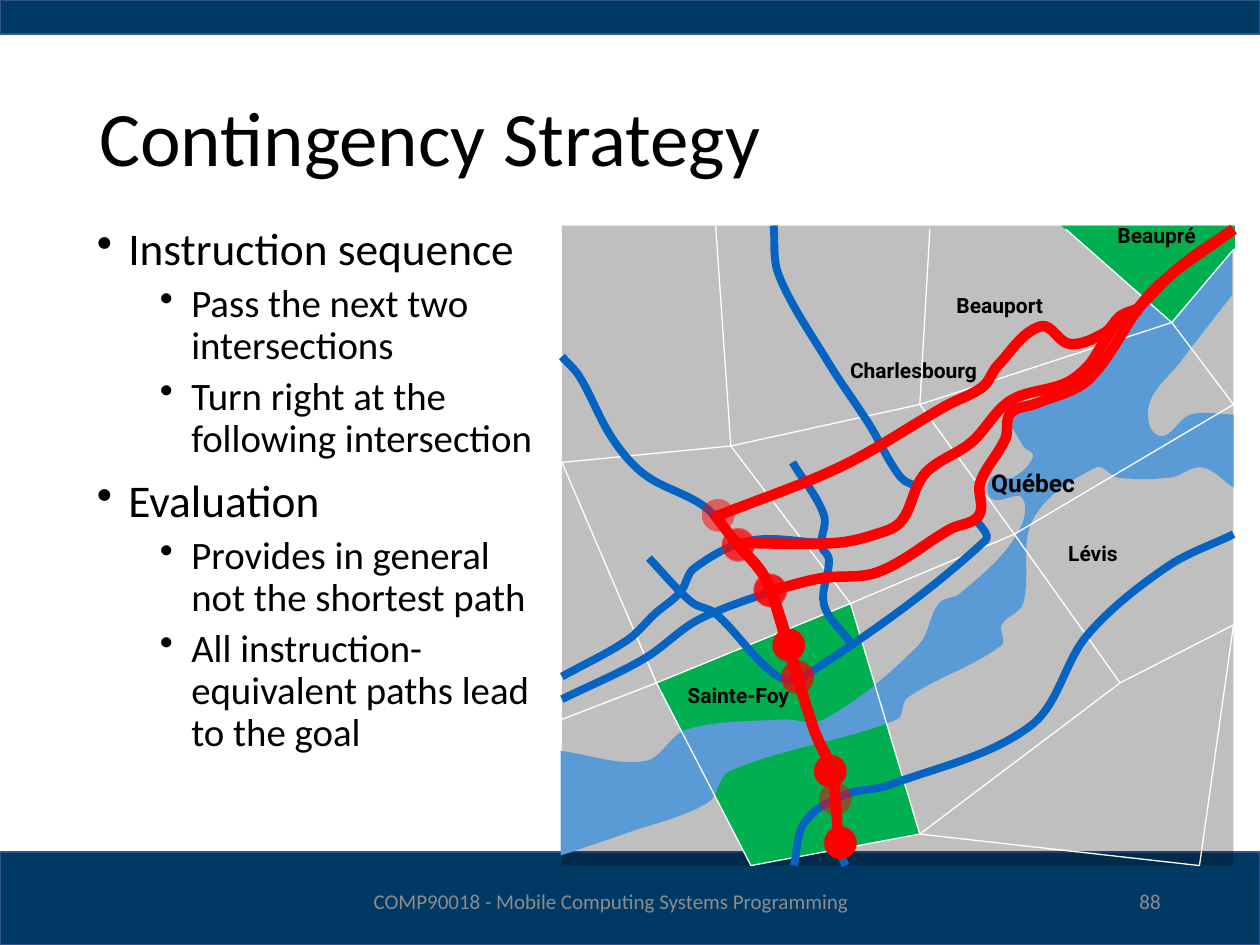
import math
from pptx import Presentation
from pptx import util as u
from pptx.dml.color import RGBColor
from pptx.enum import shapes, text
from pptx.oxml.ns import qn
from lxml import etree

NAVY, NAVY_EDGE = RGBColor(0x00, 0x3A, 0x64), RGBColor(0x32, 0x54, 0x91)
BLACK, WHITE = RGBColor(0, 0, 0), RGBColor(255, 255, 255)
PARK, WATER = RGBColor(0x00, 0xB0, 0x50), RGBColor(0x5B, 0x9B, 0xD5)
ROAD, ROUTE = RGBColor(0x05, 0x63, 0xC1), RGBColor(0xFF, 0, 0)
GREY = RGBColor(0x8C, 0x8C, 0x8C)

TITLE = "Contingency Strategy"
BULLETS = [
    (0, "Instruction sequence"),
    (1, "Pass the next two intersections"),
    (1, "Turn right at the\nfollowing intersection"),
    (0, "Evaluation"),
    (1, "Provides in general not the shortest path"),
    (1, "All instruction-equivalent paths lead to the goal"),
]
LEVELS = [  # text size, left margin, space before
    (25.9, 0.25, 10),
    (22.2, 0.75, 5),
]
BARS = [(0, 6.76, 10, 0.74), (0, 0, 10, 0.27)]
MAP = (4.46, 1.79, 5.33, 5.08)
LABELS = [  # name, left, top, width, height, size
    ("Charlesbourg", 6.69, 2.84, 1.12, 0.2, 12),
    ("Beauport", 7.55, 2.32, 0.77, 0.2, 12),
    ("Sainte-Foy", 5.41, 5.42, 0.9, 0.2, 12),
    ("Lévis", 8.46, 4.29, 0.43, 0.2, 12),
    ("Québec", 7.83, 3.71, 0.74, 0.24, 14),
    ("Beaupré", 8.83, 1.77, 0.7, 0.2, 12),
]

# District corners and the borders between them
CORNERS = {
    "a": (8.05, 4.24), "b": (7.3, 3.21), "c": (5.96, 6.87), "d": (5.21, 5.42),
    "e": (4.46, 5.71), "f": (4.46, 3.67), "g": (6.75, 4.79), "h": (7.3, 6.62),
    "i": (9.52, 6.87), "j": (9.79, 4.96), "k": (8.89, 5.42), "l": (9.79, 3.21),
    "m": (5.8, 3.54), "n": (5.68, 1.79), "o": (7.38, 1.82), "p": (9.3, 2.56),
    "q": (8.46, 1.82), "r": (9.79, 1.98),
}
BORDERS = "ab cd de fd dg gh hc hi ij ak hk kj ga al gm fm mn mb bo bp pq pl pr".split()
SAINTE_FOY = [CORNERS[name] for name in "dchg"]
BEAUPRE = [(9.3, 2.56), (9.8, 1.97), (9.8, 1.79), (8.42, 1.79), (8.52, 1.87)]

# Each shore is a smooth stretch; straight map edges join them
SHORES = [
    [(4.45, 6.79), (4.95, 6.62), (5.62, 6.37), (5.79, 6.12), (7.12, 5.71),
     (7.2, 5.54), (7.95, 5.12), (7.95, 4.96), (8.12, 4.79), (8.2, 4.12),
     (8.7, 3.71), (8.87, 3.79), (9.29, 3.79), (9.54, 3.71), (9.79, 3.87)],
    [(9.79, 3.29), (9.45, 3.29), (9.2, 3.46), (9.12, 3.21), (9.37, 2.87), (9.78, 2.34)],
    [(9.78, 1.89), (9.24, 2.27), (8.96, 2.62), (8.83, 2.84), (8.54, 3.12),
     (8.04, 3.29), (8.12, 3.54), (8.2, 3.62), (8.04, 3.79), (7.87, 3.79),
     (7.87, 3.96), (8.12, 3.96), (8.04, 4.29), (7.62, 4.71), (7.45, 4.79),
     (7.29, 5.12), (6.54, 5.71), (6.2, 5.71), (5.45, 5.79), (5.12, 6.04), (4.45, 5.96)],
]

CENTRAL = [(4.46, 2.83), (4.6, 2.99), (4.86, 3.48), (5.12, 3.77), (5.59, 4.02),
           (5.82, 4.28), (6.09, 4.62), (6.46, 5.79), (6.61, 6.12), (6.63, 6.37),
           (6.67, 6.76), (6.71, 6.87)]
SHORELINE = [(4.46, 5.55), (5.11, 5.23), (5.58, 4.9), (6.51, 4.59), (6.97, 4.54),
             (7.54, 4.2), (7.77, 4.09), (7.78, 3.83), (7.98, 3.48), (8.02, 3.28),
             (8.23, 3.2), (8.64, 3.01), (9.14, 2.32), (9.79, 1.82)]
NORTH = [(5.68, 4.1), (6.68, 3.7), (7.51, 3.22), (7.8, 3.07), (7.92, 2.9),
         (8.26, 2.59), (8.49, 2.73), (8.8, 2.64)]
MIDDLE = [(4.46, 5.37), (4.98, 5.08), (5.2, 4.87), (5.4, 4.7), (5.51, 4.51),
          (5.96, 4.29), (6.62, 4.31), (6.92, 4.25), (7.15, 4.14), (7.34, 3.76),
          (7.71, 3.51), (8.02, 3.18), (8.46, 3.04), (8.64, 2.9), (8.74, 2.75),
          (8.91, 2.51), (9.05, 2.46)]
ROADS = [
    CENTRAL,
    [(6.3, 6.87), (6.39, 6.52), (6.7, 6.31), (7.06, 6.23), (8.18, 5.76),
     (8.63, 5.04), (9.26, 4.5), (9.79, 4.24)],
    SHORELINE, NORTH,
    [(6.14, 1.79), (6.18, 2.18), (6.57, 2.87), (6.9, 3.37), (7.15, 3.79), (7.3, 3.87)],
    [(5.15, 4.43), (5.49, 4.78), (5.68, 4.87), (6.16, 5.36), (6.38, 5.37),
     (7.82, 4.29), (7.74, 4.11)],
    MIDDLE,
    [(6.29, 3.67), (6.54, 4.09), (6.52, 4.33), (6.58, 4.44), (6.54, 4.8), (6.75, 5.1)],
]
EXIT = [(9.02, 2.46), (9.35, 2.13), (9.79, 1.82)]
# Per route: red lines, then stops as left, top, opacity in percent
ROUTES = [
    ([[(5.66, 4.07), *CENTRAL[5:7], (6.26, 5.16)], EXIT,
      NORTH[:-1] + [(8.77, 2.64), (8.89, 2.51), (9.03, 2.45)]],
     [(6.13, 4.99, 100), (5.98, 4.55, 50), (5.73, 4.19, 50), (5.57, 3.96, 50)]),
    ([[(6.12, 4.69), *CENTRAL[7:10], (6.66, 6.69)], [(6.08, 4.7)] + SHORELINE[3:]],
     [(6.2, 5.25, 50), (5.99, 4.56, 50), (6.54, 6.56, 100), (6.5, 6.21, 50)]),
    ([CENTRAL[5:9], EXIT, [(5.84, 4.31)] + MIDDLE[6:]],
     [(6.2, 5.24, 50), (5.98, 4.56, 50), (5.73, 4.2, 50), (6.46, 5.99, 100)]),
]
STOP_SIZE = 0.26


def handles(points):
    """Return the two Bézier handles of each stretch between neighbouring points."""
    headings = []
    for before, after in zip(points[:1] + points[:-1], points[1:] + points[-1:]):
        length = math.dist(before, after)
        headings.append([(b - a) / length for a, b in zip(before, after)])
    pairs = []
    for i, (start, end) in enumerate(zip(points, points[1:])):
        reach = math.dist(start, end) / 3
        pairs.append(([p + reach * h for p, h in zip(start, headings[i])],
                      [p - reach * h for p, h in zip(end, headings[i + 1])]))
    return pairs


def paint(shape, fill=None, line=None, width=1, opacity=100):
    shape.shadow.inherit = False
    if fill is None:
        shape.fill.background()
    else:
        shape.fill.solid()
        shape.fill.fore_color.rgb = fill
        if opacity < 100:
            color = shape._element.spPr.find(".//" + qn("a:srgbClr"))
            etree.SubElement(color, qn("a:alpha")).set("val", str(opacity * 1000))
    if line is None:
        shape.line.fill.background()
    else:
        shape.line.color.rgb = line
        shape.line.width = u.Pt(width)


def add_preset(page, kind, place, **look):
    paint(page.shapes.add_shape(kind, *map(u.Inches, place)), **look)


def add_outline(page, stretches, close=False, curved=True, **look):
    """Draw the stretches as one outline, joined to each other by straight lines."""
    points = [tuple(map(u.Inches, point)) for stretch in stretches for point in stretch]
    builder = page.shapes.build_freeform(*points[0])
    builder.add_line_segments(points[1:], close=close)
    shape = builder.convert_to_shape()
    if curved:
        pairs = [pair for stretch in stretches for pair in [None] + handles(stretch)][1:]
        for step, pair in zip(list(shape._element.iter(qn("a:lnTo"))), pairs):
            if pair:
                step.tag = qn("a:cubicBezTo")
                for i, (x, y) in enumerate(pair):
                    handle = etree.Element(qn("a:pt"))
                    handle.set("x", str(u.Inches(x) - shape.left))
                    handle.set("y", str(u.Inches(y) - shape.top))
                    step.insert(i, handle)
    paint(shape, **look)


def add_border(page, start, end):
    border = page.shapes.add_connector(
        shapes.MSO_CONNECTOR.STRAIGHT, *map(u.Inches, start + end))
    border.line.color.rgb = WHITE
    border.line.width = u.Pt(0.75)
    etree.SubElement(border._element.spPr, qn("a:effectLst"))


def write(para, content, color=BLACK, **font):
    para.text = content
    for span in para.runs:
        span.font.color.rgb = color
        for name, value in font.items():
            setattr(span.font, name, value)


def add_box(page, place, anchor=text.MSO_ANCHOR.MIDDLE, inset=None, wrap=True):
    frame = page.shapes.add_textbox(*map(u.Inches, place)).text_frame
    frame.word_wrap = wrap
    frame.vertical_anchor = anchor
    if inset is not None:
        for side in ("left", "top", "right", "bottom"):
            setattr(frame, "margin_" + side, u.Inches(inset))
    return frame


def add_bullets(page):
    frame = add_box(page, (0.67, 1.75, 3.7, 5.07), text.MSO_ANCHOR.TOP)
    for i, (level, content) in enumerate(BULLETS):
        para = frame.add_paragraph() if i else frame.paragraphs[0]
        size, margin, before = LEVELS[level]
        write(para, content, name="Calibri", size=u.Pt(size))
        para.level, para.line_spacing, para.space_before = level, 0.9, u.Pt(before)
        props = para._p.get_or_add_pPr()
        props.set("marL", str(u.Inches(margin)))
        props.set("indent", str(u.Inches(-0.25)))
        etree.SubElement(props, qn("a:buChar")).set("char", "•")


def add_map(page):
    add_preset(page, shapes.MSO_SHAPE.RECTANGLE, MAP, fill=BLACK, opacity=25)
    add_outline(page, [SAINTE_FOY], True, False, fill=PARK)
    add_outline(page, SHORES, True, fill=WATER)
    add_outline(page, [BEAUPRE], True, False, fill=PARK)
    for start, end in BORDERS:
        add_border(page, CORNERS[start], CORNERS[end])
    for road in ROADS:
        add_outline(page, [road], line=ROAD, width=4.5)
    for name, *place, size in LABELS:
        para = add_box(page, place, inset=0, wrap=False).paragraphs[0]
        para.alignment = text.PP_ALIGN.CENTER
        write(para, name, name="Roboto", size=u.Pt(size), bold=True)


def add_routes(page):
    for lines, stops in ROUTES:
        for line in lines:
            add_outline(page, [line], line=ROUTE, width=6)
        for left, top, opacity in stops:
            add_preset(page, shapes.MSO_SHAPE.OVAL, (left, top, STOP_SIZE, STOP_SIZE),
                       fill=ROUTE, opacity=opacity)


def main():
    deck = Presentation()
    deck.slide_width, deck.slide_height = u.Inches(10), u.Inches(7.5)
    page = deck.slides.add_slide(deck.slide_layouts[6])
    for bar in BARS:
        add_preset(page, shapes.MSO_SHAPE.RECTANGLE, bar, fill=NAVY, line=NAVY_EDGE)
    add_map(page)
    title = add_box(page, (0.69, 0.4, 8.62, 1.45)).paragraphs[0]
    title.line_spacing = 0.9
    write(title, TITLE, name="Calibri", size=u.Pt(44))
    add_bullets(page)
    add_routes(page)
    for content, left, width, align in [
            ("COMP90018 - Mobile Computing Systems Programming", 2.63, 4.44, "CENTER"),
            ("88", 7.06, 2.25, "RIGHT")]:
        para = add_box(page, (left, 6.95, width, 0.4)).paragraphs[0]
        para.alignment = text.PP_ALIGN[align]
        write(para, content, GREY, name="Calibri", size=u.Pt(12))
    deck.save("out.pptx")


if __name__ == "__main__":
    main()
